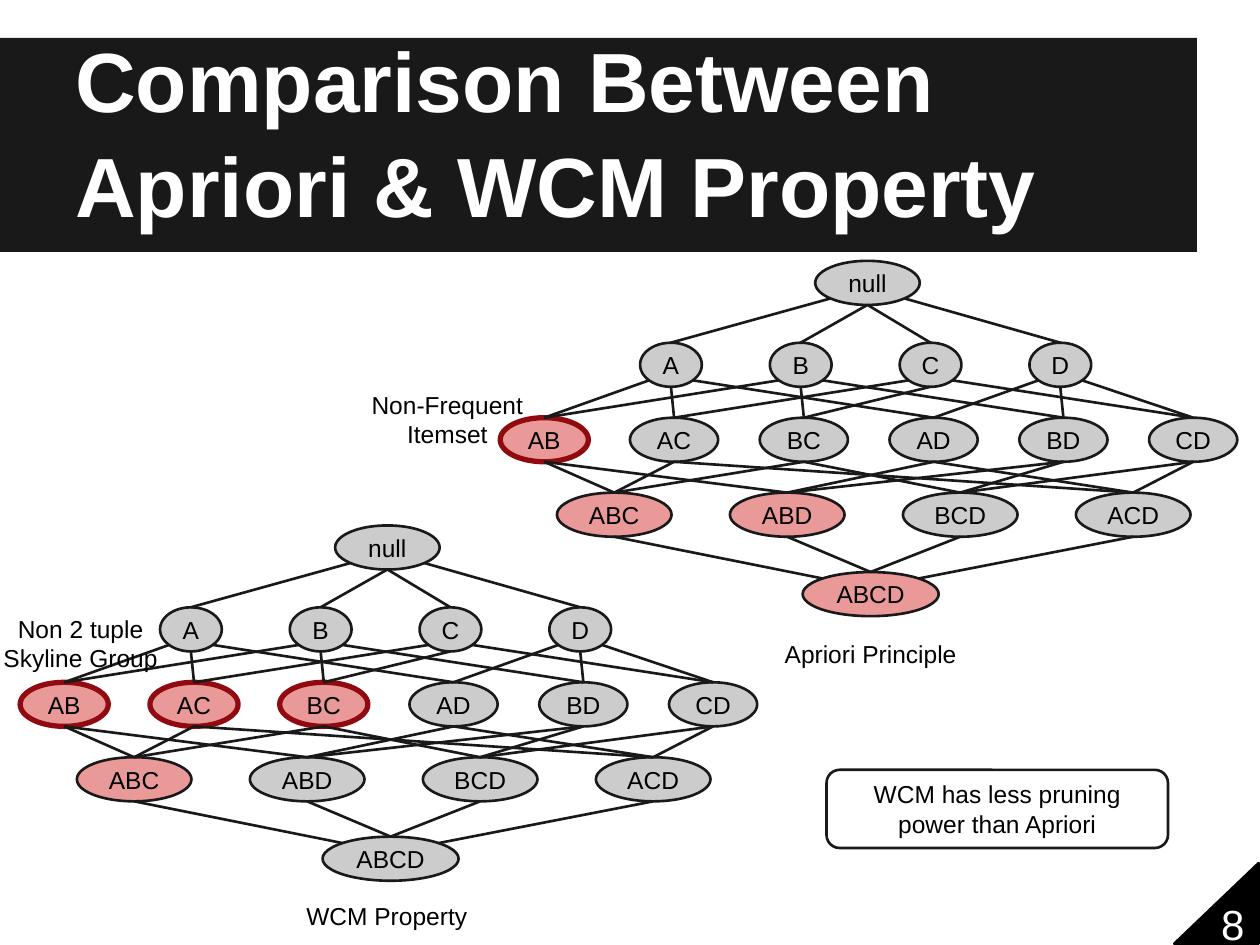
from math import sqrt

from pptx import Presentation
from pptx.dml.color import RGBColor
from pptx.enum.shapes import MSO_CONNECTOR as Connector, MSO_SHAPE as Shape
from pptx.enum.text import MSO_ANCHOR as Anchor, PP_ALIGN as Align
from pptx.oxml.ns import qn
from pptx.util import Inches, Pt

# Slide grid: 100 columns by 75 rows of square cells
COLUMNS, ROWS = 100, 75
CELL = Inches(0.1)

BLACK = RGBColor(0x00, 0x00, 0x00)
WHITE = RGBColor(0xFF, 0xFF, 0xFF)
INK = RGBColor(0x19, 0x19, 0x19)
GREY = RGBColor(0xCC, 0xCC, 0xCC)
PINK = RGBColor(0xEA, 0x99, 0x99)
CRIMSON = RGBColor(0x91, 0x0A, 0x10)

# Lattice levels: labels, left and top relative to the root, column step, node width
LEVELS = [
    (["null"], 0, 0, 0, 8.3),
    (["A", "B", "C", "D"], -13.9, 6.5, 10.3, 4.9),
    (["AB", "AC", "BC", "AD", "BD", "CD"], -25, 12.45, 10.3, 7),
    (["ABC", "ABD", "BCD", "ACD"], -20.5, 18.4, 13.73, 9.1),
    (["ABCD"], -1, 24.7, 0, 10.8),
]
NODE_HEIGHT = 3.5

# Side on which each edge leaves its parent: -1 left, 0 middle, 1 right
EXIT_SIDES = [(-1, 0, 0, 1), (-1, 0, 1), (0, 0), (0,)]
ENTRY_SIDES = {"ABC": -1, "ACD": 1}


def grid(*lengths):
    return [round(length * CELL) for length in lengths]


def write_text(shape, text, size=14, color=BLACK, bold=False, align=Align.CENTER,
               anchor=Anchor.MIDDLE, wrap=True, spacing=None):
    frame = shape.text_frame
    frame.word_wrap = wrap
    frame.vertical_anchor = anchor
    frame.margin_left = frame.margin_right = CELL
    frame.margin_top = frame.margin_bottom = CELL
    frame.text = text
    for paragraph in frame.paragraphs:
        paragraph.alignment = align
        if spacing:
            paragraph.line_spacing = spacing
        font = paragraph.font
        font.name, font.size, font.bold = "Arial", Pt(size), bold
        font.color.rgb = color


def add_label(slide, text, box, **text_format):
    write_text(slide.shapes.add_textbox(*grid(*box)), text, **text_format)


def add_block(slide, kind, box, fill, line=None, line_width=1.5):
    shape = slide.shapes.add_shape(kind, *grid(*box))
    shape.shadow.inherit = False
    shape.fill.solid()
    shape.fill.fore_color.rgb = fill
    if line is None:
        shape.line.fill.background()
    else:
        shape.line.color.rgb = line
        shape.line.width = Pt(line_width)
    return shape


def add_edge(slide, start, end):
    edge = slide.shapes.add_connector(Connector.STRAIGHT, *grid(*start, *end))
    edge.line.color.rgb = INK
    edge.line.width = Pt(1.5)
    properties = edge._element.spPr
    properties.append(properties.makeelement(qn("a:effectLst"), {}))


def rim_point(box, side, vertical):
    """Point on an ellipse: vertical is -1 for its upper half, 1 for its lower half."""
    left, top, width, height = box
    reach = sqrt(0.5) if side else 1
    return (left + width / 2 * (1 + side * reach),
            top + height / 2 * (1 + vertical * reach))


def add_lattice(slide, left, top, pruned, outlined):
    # Nodes
    boxes = {}
    for labels, level_left, level_top, step, width in LEVELS:
        for index, label in enumerate(labels):
            box = (left + level_left + index * step, top + level_top, width, NODE_HEIGHT)
            boxes[label] = box
            marked = label in outlined
            node = add_block(slide, Shape.OVAL, box, PINK if label in pruned else GREY,
                             CRIMSON if marked else INK, 3 if marked else 1.5)
            write_text(node, label, wrap=False)

    # Edges join each set to the supersets in the next level
    for sides, upper, lower in zip(EXIT_SIDES, LEVELS, LEVELS[1:]):
        for parent in upper[0]:
            members = set() if parent == "null" else set(parent)
            children = [child for child in lower[0] if members < set(child)]
            for side, child in zip(sides, children):
                entry = ENTRY_SIDES.get(parent, 0)
                add_edge(slide, rim_point(boxes[parent], side, 1),
                         rim_point(boxes[child], entry, -1))


def main():
    presentation = Presentation()
    presentation.slide_width, presentation.slide_height = grid(COLUMNS, ROWS)
    slide = presentation.slides.add_slide(presentation.slide_layouts[6])

    # Title band
    add_block(slide, Shape.RECTANGLE, (0, 3, 95, 17), INK)
    add_label(slide, "Comparison Between\nApriori & WCM Property", (5, 3, 90, 16.6),
              size=48, color=WHITE, bold=True, align=Align.LEFT,
              anchor=Anchor.BOTTOM, spacing=1.04)

    # Both lattices
    add_lattice(slide, 64.7, 20.7, {"AB", "ABC", "ABD", "ABCD"}, {"AB"})
    add_lattice(slide, 26.6, 41.7, {"AB", "AC", "BC", "ABC"}, {"AB", "AC", "BC"})

    # Captions
    add_label(slide, "Apriori Principle", (59, 50.3, 20.2, 3.1))
    add_label(slide, "WCM Property", (20.6, 71.1, 20.2, 3.1))
    add_label(slide, "Non-Frequent Itemset", (25.4, 31.7, 20.2, 3.1))
    add_label(slide, "Non 2 tuple\nSkyline Group", (-2.9, 49.5, 18.6, 3.1))

    # Conclusion
    conclusion = add_block(slide, Shape.ROUNDED_RECTANGLE, (65.6, 61.1, 27.1, 6.2),
                           WHITE, INK)
    write_text(conclusion, "WCM has less pruning power than Apriori")

    # Page corner
    corner = add_block(slide, Shape.RIGHT_TRIANGLE, (93.2, 68.5, 6.7, 6.4), BLACK, BLACK)
    corner._element.spPr.find(qn("a:xfrm")).set("flipH", "1")
    add_label(slide, "8", (94.5, 70.9, 6.7, 4.8), size=24, color=WHITE)

    presentation.save("out.pptx")


if __name__ == "__main__":
    main()
